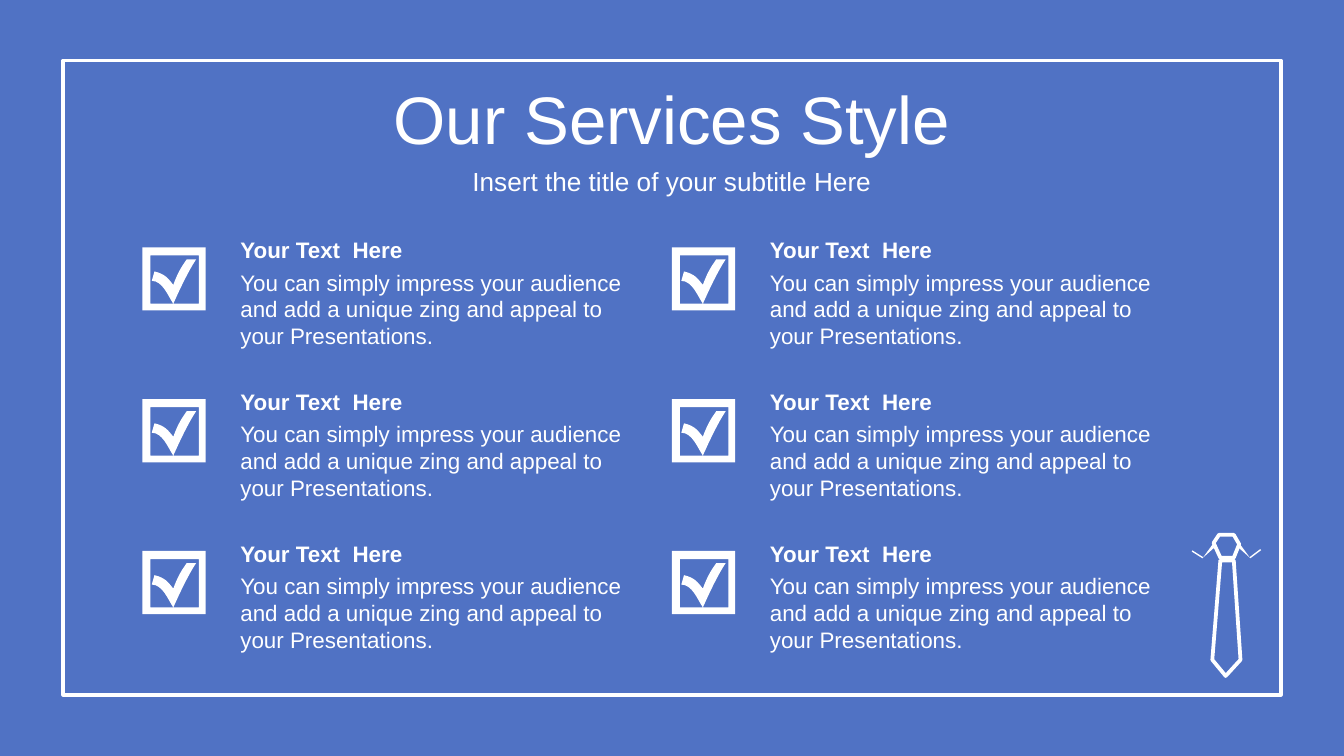
import lxml.etree
import pptx
import pptx.dml.color
import pptx.enum.shapes
import pptx.enum.text
import pptx.oxml.ns
import pptx.util

Inches, Pt = pptx.util.Inches, pptx.util.Pt
RGB = pptx.dml.color.RGBColor
ALIGN, ANCHOR = pptx.enum.text.PP_ALIGN, pptx.enum.text.MSO_ANCHOR

TITLE = "Our Services Style"
SUBTITLE = "Insert the title of your subtitle Here"
ITEM = (
    "Your Text  Here",
    "You can simply impress your audience and add a unique zing "
    "and appeal to your Presentations.",
)
SERVICES = [[ITEM, ITEM], [ITEM, ITEM], [ITEM, ITEM]]

THEME = {
    "back": RGB(0x50, 0x72, 0xC4),
    "ink": RGB(0xFF, 0xFF, 0xFF),
    "font": "Arial",
    "title": 36,
    "subtitle": 14,
    "text": 12,
    "bold_line": 2,
    "thin_line": 0.75,
}

FRAME = (0.47, 0.45, 9.06, 4.72)
GRID = {"left": 1.06, "top": 1.84, "col": 3.94, "row": 1.13}

# Tie in the corner: outlines, collar wings and collar lines
TIE = [
    [(9.03, 4.04), (9.07, 3.98), (9.18, 3.98), (9.22, 4.05), (9.18, 4.15), (9.08, 4.15)],
    [(9.23, 4.91), (9.12, 5.03), (9.02, 4.91), (9.08, 4.17), (9.18, 4.17)],
]
WINGS = [
    [(8.95, 4.15), (9.03, 4.04), (9.04, 4.07)],
    [(9.3, 4.15), (9.22, 4.04), (9.21, 4.07)],
]
COLLAR = [((8.87, 4.1), (8.95, 4.15)), ((9.38, 4.09), (9.3, 4.15))]

# Check box, measured from its top left corner; six numbers make a curve
BOX = [(0, 0), (0.47, 0), (0.47, 0.47), (0, 0.47)]
HOLE = [
    (0.06, 0.06), (0.06, 0.42), (0.23, 0.42),
    (0.19, 0.36, 0.15, 0.25, 0.07, 0.25),
    (0.09, 0.18),
    (0.17, 0.2, 0.19, 0.23, 0.23, 0.28),
    (0.26, 0.2, 0.28, 0.16, 0.33, 0.09),
    (0.4, 0.09),
    (0.34, 0.18, 0.28, 0.31, 0.23, 0.42),
    (0.42, 0.42), (0.42, 0.06),
]


def flatten(path, steps=8):
    """Replace each cubic curve in a path by short straight steps."""
    points = []
    for part in path:
        if len(part) == 2:
            points.append(part)
            continue
        knots = [points[-1], part[:2], part[2:4], part[4:]]
        for step in range(1, steps + 1):
            t = step / steps
            u = 1 - t
            weights = (u ** 3, 3 * u * u * t, 3 * u * t * t, t ** 3)
            points.append(tuple(
                sum(w * knot[axis] for w, knot in zip(weights, knots))
                for axis in (0, 1)
            ))
    return points


def style(shape, fill=False, line=None):
    shape.shadow.inherit = False
    if fill:
        shape.fill.solid()
        shape.fill.fore_color.rgb = THEME["ink"]
    else:
        shape.fill.background()
    if line:
        shape.line.color.rgb = THEME["ink"]
        shape.line.width = Pt(line)
    else:
        shape.line.fill.background()


def draw(slide, paths, left=0, top=0, **look):
    """Draw closed outlines as one shape, moved by left and top."""
    build = None
    for path in paths:
        points = [(Inches(left + x), Inches(top + y)) for x, y in path]
        if build is None:
            build = slide.shapes.build_freeform(*points[0])
        else:
            build.move_to(*points[0])
        build.add_line_segments(points[1:], close=True)
    style(build.convert_to_shape(), **look)


def link(slide, start, end):
    kind = pptx.enum.shapes.MSO_CONNECTOR.STRAIGHT
    line = slide.shapes.add_connector(kind, *map(Inches, start + end))
    line.line.color.rgb = THEME["ink"]
    line.line.width = Pt(THEME["thin_line"])
    lxml.etree.SubElement(line._element.spPr, pptx.oxml.ns.qn("a:effectLst"))


def write(slide, text, place, size, bold=False, align=ALIGN.LEFT, anchor=ANCHOR.TOP):
    box = slide.shapes.add_textbox(*map(Inches, place))
    frame = box.text_frame
    frame.word_wrap = True
    frame.vertical_anchor = anchor
    frame.text = text
    para = frame.paragraphs[0]
    para.alignment = align
    font = para.runs[0].font
    font.name = THEME["font"]
    font.size = Pt(size)
    font.bold = bold
    font.color.rgb = THEME["ink"]


def main():
    deck = pptx.Presentation()
    deck.slide_width = Inches(10)
    deck.slide_height = deck.slide_width * 9 // 16
    slide = deck.slides.add_slide(deck.slide_layouts[6])
    slide.background.fill.solid()
    slide.background.fill.fore_color.rgb = THEME["back"]

    rect = pptx.enum.shapes.MSO_SHAPE.RECTANGLE
    frame = slide.shapes.add_shape(rect, *map(Inches, FRAME))
    style(frame, line=THEME["bold_line"])
    for path in TIE:
        draw(slide, [path], line=THEME["bold_line"])
    for path in WINGS:
        draw(slide, [path], fill=True)
    for start, end in COLLAR:
        link(slide, start, end)

    middle = {"align": ALIGN.CENTER, "anchor": ANCHOR.MIDDLE}
    write(slide, TITLE, (0.47, 0.56, 9.06, 0.63), THEME["title"], **middle)
    write(slide, SUBTITLE, (0.47, 1.19, 9.06, 0.31), THEME["subtitle"], **middle)

    check = [flatten(HOLE), BOX]
    for row, items in enumerate(SERVICES):
        top = GRID["top"] + row * GRID["row"]
        for col, (head, body) in enumerate(items):
            left = GRID["left"] + col * GRID["col"]
            draw(slide, check, left, top, fill=True)
            write(slide, body, (left + 0.63, top + 0.11, 3.15, 0.71), THEME["text"])
            write(slide, head, (left + 0.63, top - 0.13, 3.15, 0.3), THEME["text"], bold=True)

    deck.save("out.pptx")


if __name__ == "__main__":
    main()
